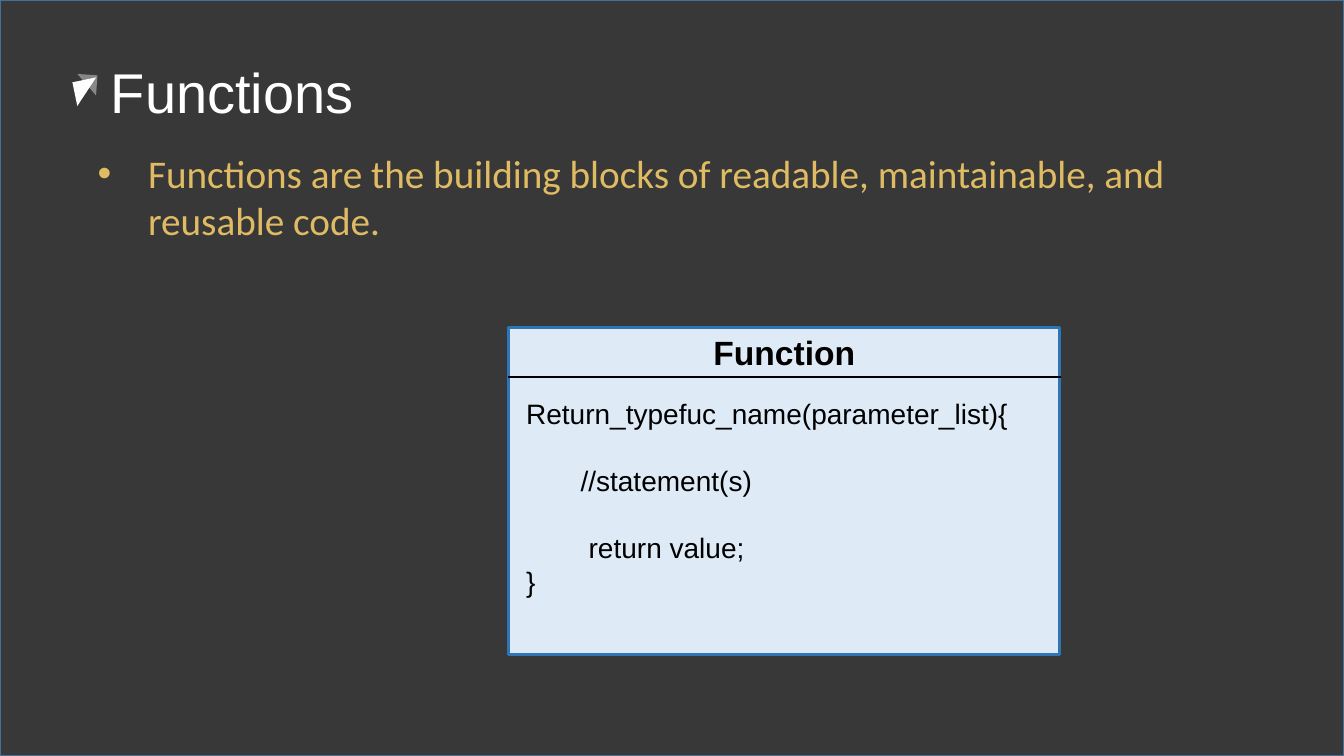
import pptx
import pptx.util
import pptx.dml.color
import pptx.enum.shapes
import pptx.enum.text
import pptx.oxml
import pptx.oxml.ns
import lxml.etree

UNIT = 9144
HUES = {
    "dark": "383838", "edge": "42719B", "gold": "DFBB64", "white": "FFFFFF",
    "pale": "DEEBF7", "blue": "2E75B6", "black": "000000",
}
KINDS = pptx.enum.shapes.MSO_SHAPE
ALIGN = pptx.enum.text.PP_ALIGN


def px(*sizes):
    """Turn px lengths into EMU."""
    return [size * UNIT for size in sizes]


def hue(name):
    """Return a named colour."""
    return pptx.dml.color.RGBColor.from_string(HUES[name])


def child(node, tag, **attrs):
    """Add a drawing element to a node."""
    return lxml.etree.SubElement(node, pptx.oxml.ns.qn(tag), attrs)


def write(frame, text, size=20, font="Arial", color="black", bold=False,
          align=ALIGN.LEFT, first=True, before=0, left=0, bullet=None):
    """Write one formatted paragraph in a text frame."""
    para = frame.paragraphs[0] if first else frame.add_paragraph()
    para.alignment = align
    para.space_before = pptx.util.Pt(before)
    run = para.add_run()
    run.text = text
    run.font.size = pptx.util.Pt(size)
    run.font.name = font
    run.font.bold = bold
    run.font.color.rgb = hue(color)
    props = para._p.get_or_add_pPr()
    props.set("marL", str(left * UNIT))
    props.set("indent", str(-left * UNIT if bullet else 0))
    if bullet:
        tint = child(props, "a:buClr")
        child(tint, "a:srgbClr", val=HUES[color])
        child(props, "a:buFont", typeface="Arial")
        child(props, "a:buChar", char=bullet)


def label(slide, box):
    """Add a wrapping text box and return its frame."""
    frame = slide.shapes.add_textbox(*px(*box)).text_frame
    frame.word_wrap = True
    return frame


def block(slide, kind, box, fill, line=None, width=1, turn=0, alpha=None):
    """Add a flat preset shape."""
    shape = slide.shapes.add_shape(kind, *px(*box))
    shape.shadow.inherit = False
    shape.rotation = turn
    shape.fill.solid()
    shape.fill.fore_color.rgb = hue(fill)
    if line:
        shape.line.color.rgb = hue(line)
        shape.line.width = pptx.util.Pt(width)
    else:
        shape.line.fill.background()
    if alpha:
        tint = shape._element.spPr.find(".//" + pptx.oxml.ns.qn("a:srgbClr"))
        child(tint, "a:alpha", val=str(alpha * 1000))
    return shape


def header(slide, box):
    """Place the title and its two triangles."""
    left, top, wide, high = box
    title = slide.shapes.title
    title.left, title.top, title.width, title.height = px(left + 26, top, wide - 26, high)
    frame = title.text_frame
    frame.word_wrap = True
    frame.auto_size = pptx.enum.text.MSO_AUTO_SIZE.NONE
    frame.vertical_anchor = pptx.enum.text.MSO_ANCHOR.TOP
    frame.margin_top = 11 * UNIT
    write(frame, "Functions", size=40, color="white")
    tri = KINDS.RIGHT_TRIANGLE
    block(slide, tri, (left, top + 33, 24, 24), "white", turn=78.4)
    block(slide, tri, (left + 2, top + 28, 20, 20), "white", turn=184, alpha=40)


def intro(slide, box):
    """Place the bulleted statement."""
    write(label(slide, box),
          "Functions are the building blocks of readable, maintainable, and reusable code.",
          size=28, font="Calibri", color="gold", left=50, bullet="•")


def card(slide, box):
    """Place the function card with its heading, rule and code."""
    left, top, wide, high = box
    block(slide, KINDS.RECTANGLE, box, "pale", "blue", 2)
    ends = px(left, top + 49, left + wide + 1, top + 49)
    rule = slide.shapes.add_connector(pptx.enum.shapes.MSO_CONNECTOR.STRAIGHT, *ends)
    rule.line.color.rgb = hue("black")
    rule.line.width = pptx.util.Pt(2)
    child(rule._element.spPr, "a:effectLst")
    write(label(slide, (left + 112, top - 1, 324, 50)), "Function",
          size=24, bold=True, align=ALIGN.CENTER)
    frame = label(slide, (left + 8, top + 63, 524, 244))
    code = [
        ("Return_typefuc_name(parameter_list){", 0, 0),
        ("//statement(s)", 54, 24),
        ("return value;", 62, 24),
        ("}", 0, 0),
    ]
    for row, (text, inset, gap) in enumerate(code):
        write(frame, text, first=row == 0, left=inset, before=gap)


def main():
    """Build and save the slide."""
    deck = pptx.Presentation()
    deck.slide_width, deck.slide_height = px(1333, 750)
    slide = deck.slides.add_slide(deck.slide_layouts[5])
    back = block(slide, KINDS.RECTANGLE, (0, 0, 1333, 750), "dark", "edge")
    slide.shapes.title._element.addprevious(back._element)
    header(slide, (74, 46, 1236, 107))
    intro(slide, (87, 143, 1171, 132))
    card(slide, (504, 325, 547, 324))
    deck.save("out.pptx")


if __name__ == "__main__":
    main()
